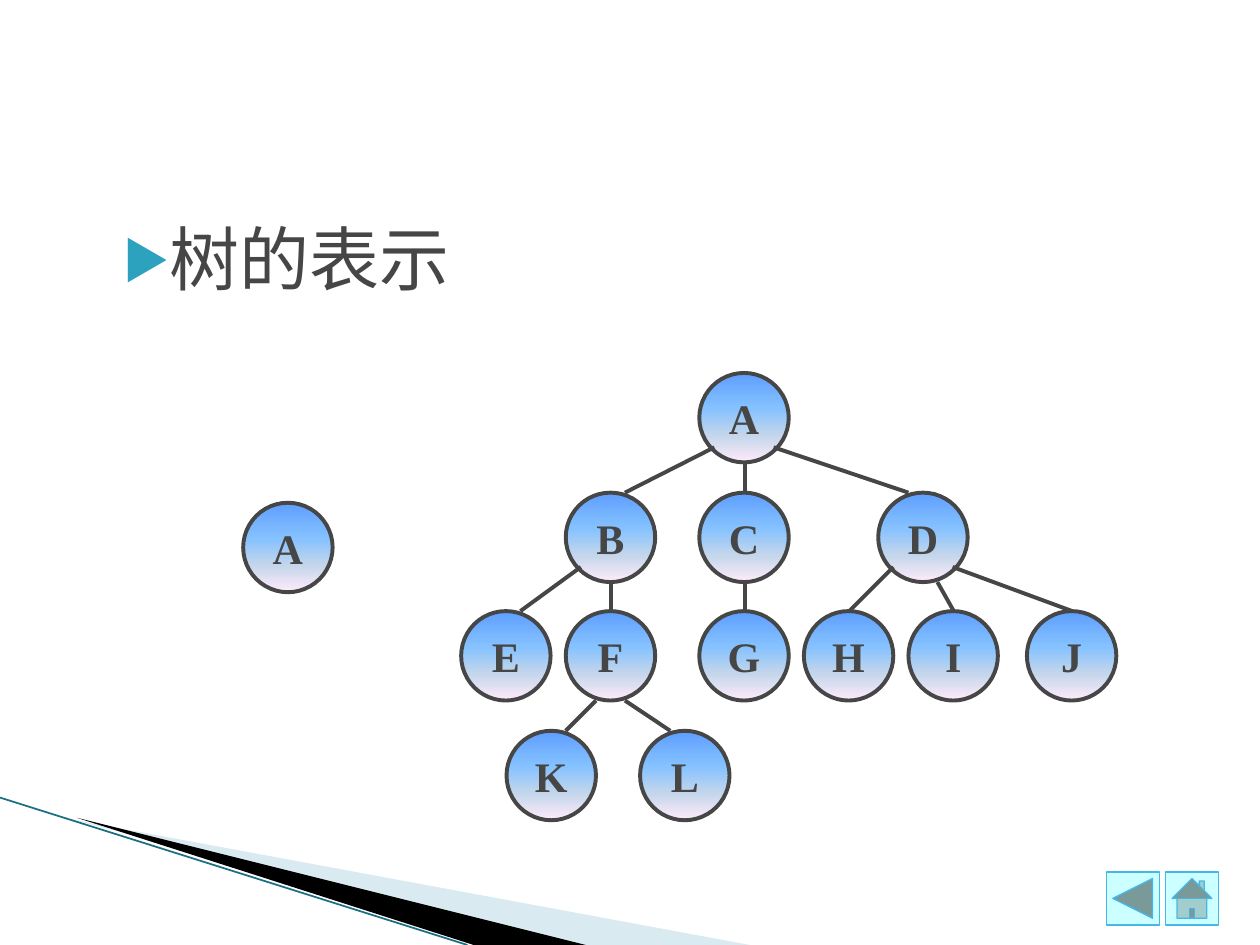
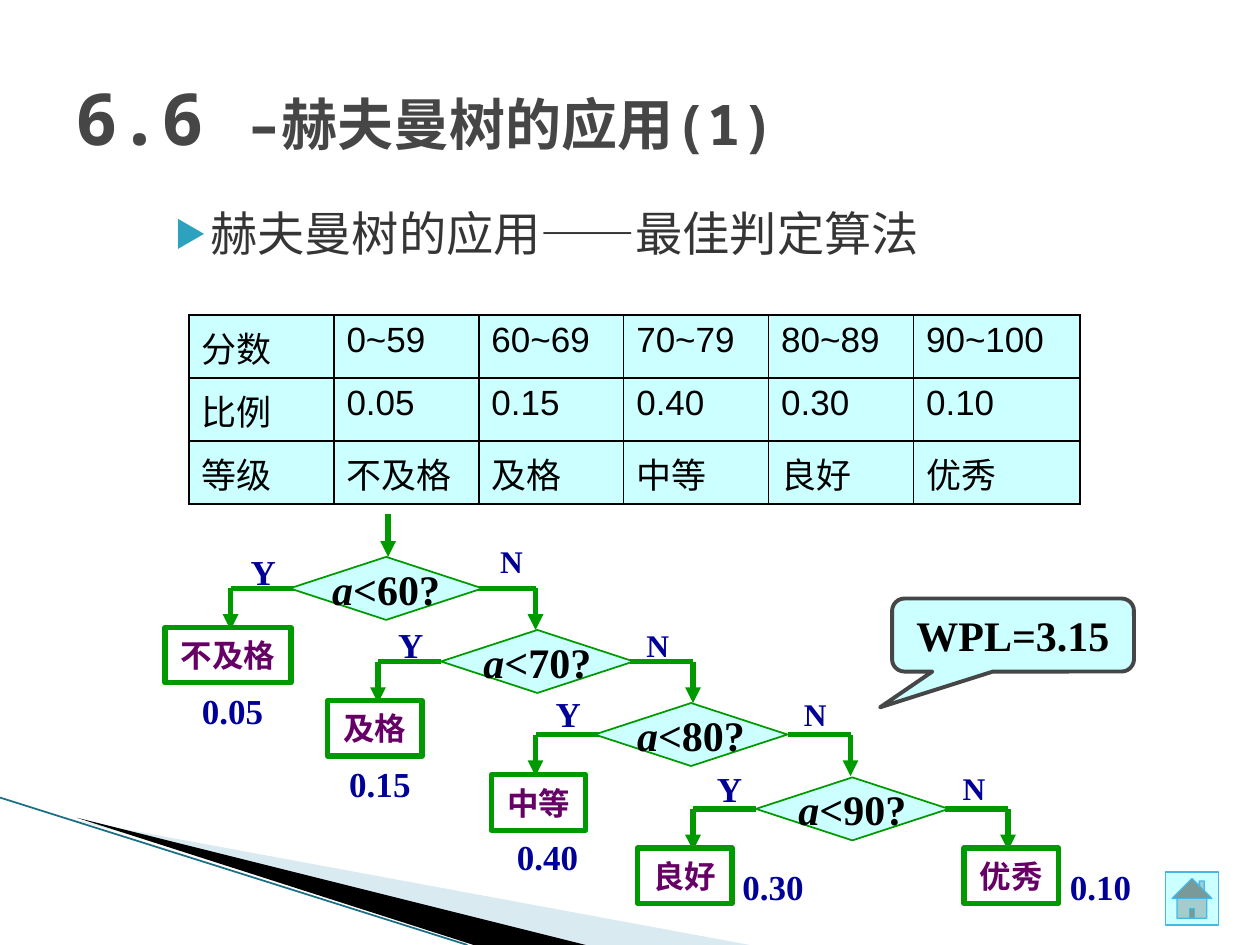
from dataclasses import dataclass
from typing import NamedTuple

from lxml.etree import SubElement
from pptx import Presentation
from pptx.dml.color import RGBColor
from pptx.enum.shapes import MSO_CONNECTOR, MSO_SHAPE
from pptx.enum.text import MSO_ANCHOR, PP_ALIGN
from pptx.oxml.ns import qn
from pptx.util import Emu, Pt

SCALE = 9144
GRAY = "464646"
BLACK = "000000"
AQUA = "CCFFFF"
GREEN = "009900"
NAVY = "000099"
PLUM = "660066"
SERIF = "Times New Roman"
HAN = "Noto Sans CJK SC"
MONO = "Noto Sans Mono"
SHADES = [(0, "5E9EFF"), (40, "85C2FF"), (70, "C4D6EB"), (100, "FFEBFA")]
SIZE = 71


class Box(NamedTuple):
    left: int
    top: int
    width: int
    height: int


class Style(NamedTuple):
    size: int
    color: str
    font: str = SERIF
    bold: bool = True


@dataclass
class Node:
    name: str
    left: int
    row: int

    @property
    def top(self) -> int:
        return round(296 + 94.7 * self.row)


class Edge(NamedTuple):
    start: str
    out: int
    end: str
    into: int


@dataclass
class Test:
    limit: int
    left: int
    top: int
    yes: int
    no: int
    yes_tag: tuple[int, int]
    no_tag: tuple[int, int]


class Leaf(NamedTuple):
    grade: str
    box: Box
    share: str
    tag: tuple[int, int]


NODES = [
    Node("A", 555, 0),
    Node("B", 449, 1), Node("C", 555, 1), Node("D", 697, 1),
    Node("E", 366, 2), Node("F", 449, 2), Node("G", 555, 2),
    Node("H", 638, 2), Node("I", 721, 2), Node("J", 815, 2),
    Node("K", 402, 3), Node("L", 508, 3),
]
EDGES = [
    Edge("A", 1, "B", 4), Edge("A", 3, "C", 3), Edge("A", 5, "D", 2),
    Edge("B", 1, "E", 4), Edge("B", 3, "F", 3), Edge("C", 3, "G", 3),
    Edge("D", 1, "H", 3), Edge("D", 4, "I", 3), Edge("D", 5, "J", 3),
    Edge("F", 2, "K", 4), Edge("F", 4, "L", 2),
]
TESTS = [
    Test(60, 230, 442, 183, 425, (189, 432), (387, 425)),
    Test(70, 350, 500, 300, 550, (306, 490), (503, 492)),
    Test(80, 472, 558, 425, 675, (431, 545), (628, 547)),
    Test(90, 600, 617, 550, 800, (559, 604), (754, 605)),
]
LEAVES = [
    Leaf("不及格", Box(131, 498, 100, 44), "0.05", (150, 542)),
    Leaf("及格", Box(260, 556, 75, 44), "0.15", (267, 600)),
    Leaf("中等", Box(390, 615, 75, 44), "0.40", (400, 658)),
    Leaf("良好", Box(506, 673, 75, 44), "0.30", (579, 682)),
    Leaf("优秀", Box(765, 673, 75, 44), "0.10", (839, 682)),
]
ROWS = [
    ["分数", "0~59", "60~69", "70~79", "80~89", "90~100"],
    ["比例", "0.05", "0.15", "0.40", "0.30", "0.10"],
    ["等级", "不及格", "及格", "中等", "良好", "优秀"],
]


def px(count: int) -> Emu:
    return Emu(count * SCALE)


def place(box: Box) -> list[Emu]:
    return [px(part) for part in box]


def tint(code: str) -> RGBColor:
    return RGBColor.from_string(code)


def paint(shape, fill: str | None, line: str | None, width: float = 1) -> None:
    shape.shadow.inherit = False
    if fill:
        shape.fill.solid()
        shape.fill.fore_color.rgb = tint(fill)
    else:
        shape.fill.background()
    if line:
        shape.line.color.rgb = tint(line)
        shape.line.width = Pt(width)
    else:
        shape.line.fill.background()


def format_run(run, style: Style) -> None:
    font = run.font
    font.size = Pt(style.size)
    font.name = style.font
    font.bold = style.bold
    font.color.rgb = tint(style.color)
    SubElement(run._r.rPr, qn("a:ea"), typeface=HAN)


def write(shape, text: str, style: Style) -> None:
    frame = shape.text_frame
    frame.text = text
    frame.word_wrap = False
    frame.vertical_anchor = MSO_ANCHOR.MIDDLE
    frame.paragraphs[0].alignment = PP_ALIGN.CENTER
    format_run(frame.paragraphs[0].runs[0], style)


def add_form(slide, kind, box: Box, fill: str | None, line: str, width: float):
    shape = slide.shapes.add_shape(kind, *place(box))
    paint(shape, fill, line, width)
    return shape


def add_line(slide, start: tuple[int, int], end: tuple[int, int], color: str,
             width: float, arrow: bool = False) -> None:
    ends = [px(part) for part in (*start, *end)]
    line = slide.shapes.add_connector(MSO_CONNECTOR.STRAIGHT, *ends)
    line.line.color.rgb = tint(color)
    line.line.width = Pt(width)
    if arrow:
        SubElement(line.line._get_or_add_ln(), qn("a:tailEnd"), type="triangle")
    SubElement(line._element.spPr, qn("a:effectLst"))


def add_band(slide, points: list[tuple[int, int]], color: str):
    pen = slide.shapes.build_freeform(*points[0], scale=SCALE)
    pen.add_line_segments(points[1:])
    band = pen.convert_to_shape()
    paint(band, color, None)
    return band


def add_base(slide) -> None:
    pale = add_band(slide, [(55, 650), (595, 750), (456, 750)], "A0CBDC")
    hue = pale._element.spPr.find(qn("a:solidFill"))[0]
    SubElement(hue, qn("a:alpha"), val="40000")
    add_band(slide, [(61, 649), (465, 750), (376, 750)], BLACK)
    add_line(slide, (0, 633), (371, 750), "1B6F85", 1)


def add_key(slide, kind, left: int) -> None:
    add_form(slide, kind, Box(left, 692, 42, 42), AQUA, "44B9E8", 0.75)


def add_point(slide, box: Box, text: str, style: Style, space: float) -> None:
    frame = slide.shapes.add_textbox(*place(box)).text_frame
    frame.word_wrap = True
    frame.margin_top = 0
    frame.text = text
    para = frame.paragraphs[0]
    para.line_spacing = space
    props = para._p.get_or_add_pPr()
    props.set("marL", str(px(40)))
    props.set("indent", str(px(-28)))
    hue = SubElement(props, qn("a:buClr"))
    SubElement(hue, qn("a:srgbClr"), val="2DA2BF")
    SubElement(props, qn("a:buSzPct"), val="68000")
    SubElement(props, qn("a:buFont"), typeface=HAN)
    SubElement(props, qn("a:buChar"), char="▶")
    format_run(para.runs[0], style)


def add_node(slide, name: str, left: int, top: int) -> None:
    ball = add_form(slide, MSO_SHAPE.OVAL, Box(left, top, SIZE, SIZE),
                    None, GRAY, 2.25)
    ball.fill.gradient()
    ball.fill.gradient_angle = 270
    stops = ball._element.spPr.find(qn("a:gradFill")).find(qn("a:gsLst"))
    for stop in list(stops):
        stops.remove(stop)
    for spot, color in SHADES:
        stop = SubElement(stops, qn("a:gs"), pos=str(spot * 1000))
        SubElement(stop, qn("a:srgbClr"), val=color)
    write(ball, name, Style(24, GRAY))


def add_edge(slide, edge: Edge, nodes: dict[str, Node]) -> None:
    start, end = nodes[edge.start], nodes[edge.end]
    drop = 59 if edge.out in (1, 5) else SIZE
    add_line(slide, (start.left + round(SIZE * edge.out / 6), start.top + drop),
             (end.left + round(SIZE * edge.into / 6), end.top), GRAY, 2.25)


def add_tag(slide, text: str, spot: tuple[int, int], width: int, size: int) -> None:
    tag = slide.shapes.add_textbox(*place(Box(*spot, width, 43 if size == 20 else 40)))
    write(tag, text, Style(size, NAVY))


def add_arms(slide, test: Test) -> None:
    mid = test.top + 25
    for bend, reach in ((test.yes, 50), (test.no, -50)):
        add_line(slide, (bend + reach, mid), (bend, mid), GREEN, 3)
        add_line(slide, (bend, mid), (bend, mid + 33), GREEN, 3, True)


def add_test(slide, test: Test) -> None:
    box = Box(test.left, test.top, 153, 50)
    shape = add_form(slide, MSO_SHAPE.FLOWCHART_DECISION, box, AQUA, GREEN, 1)
    style = Style(24, BLACK)
    write(shape, "a", style)
    para = shape.text_frame.paragraphs[0]
    para.runs[0].font.italic = True
    rest = para.add_run()
    rest.text = f"<{test.limit}?"
    format_run(rest, style)
    add_tag(slide, "Y", test.yes_tag, 40, 20)
    add_tag(slide, "N", test.no_tag, 38, 18)


def add_leaf(slide, leaf: Leaf) -> None:
    shape = add_form(slide, MSO_SHAPE.RECTANGLE, leaf.box, None, GREEN, 3)
    write(shape, leaf.grade, Style(18, PLUM))
    add_tag(slide, leaf.share, leaf.tag, 69, 20)


def add_grades(slide) -> None:
    grid = slide.shapes.add_table(3, 6, *place(Box(150, 250, 707, 150))).table
    for index, column in enumerate(grid.columns):
        column.width = px(132 if index == 5 else 115)
    for row, texts in zip(grid.rows, ROWS):
        row.height = px(50)
        for cell, text in zip(row.cells, texts):
            cell.text_frame.text = text
            format_run(cell.text_frame.paragraphs[0].runs[0],
                       Style(20, BLACK, "Arial", False))
            props = cell._tc.get_or_add_tcPr()
            for side in "LRTB":
                rule = SubElement(props, qn(f"a:ln{side}"), w=str(Pt(1)))
                fill = SubElement(rule, qn("a:solidFill"))
                SubElement(fill, qn("a:srgbClr"), val=BLACK)
            cell.fill.solid()
            cell.fill.fore_color.rgb = tint(AQUA)


def set_title(slide, parts: list[tuple[str, int]]) -> None:
    title = slide.shapes.title
    title.left, title.top, title.width, title.height = place(Box(50, 30, 900, 125))
    frame = title.text_frame
    frame.vertical_anchor = MSO_ANCHOR.MIDDLE
    para = frame.paragraphs[0]
    para.alignment = PP_ALIGN.LEFT
    for text, size in parts:
        run = para.add_run()
        run.text = text
        format_run(run, Style(size, GRAY, MONO))


def draw_tree(deck) -> None:
    slide = deck.slides.add_slide(deck.slide_layouts[6])
    add_base(slide)
    add_point(slide, Box(75, 171, 925, 100), "树的表示",
              Style(40, GRAY, HAN, False), 1.0)
    add_key(slide, MSO_SHAPE.ACTION_BUTTON_HOME, 925)
    add_key(slide, MSO_SHAPE.ACTION_BUTTON_BACK_OR_PREVIOUS, 878)
    add_node(slide, "A", 193, 399)
    for node in NODES:
        add_node(slide, node.name, node.left, node.top)
    nodes = {node.name: node for node in NODES}
    for edge in EDGES:
        add_edge(slide, edge, nodes)


def draw_tests(deck) -> None:
    slide = deck.slides.add_slide(deck.slide_layouts[5])
    add_base(slide)
    set_title(slide, [("6.6 ", 41), ("–赫夫曼树的应用(1)", 32)])
    add_point(slide, Box(117, 167, 867, 54), "赫夫曼树的应用——最佳判定算法",
              Style(27, "353535", HAN, False), 0.9)
    add_key(slide, MSO_SHAPE.ACTION_BUTTON_HOME, 925)
    add_grades(slide)
    add_line(slide, (308, 408), (308, 442), GREEN, 3, True)
    for test in TESTS:
        add_arms(slide, test)
    for test in TESTS:
        add_test(slide, test)
    for leaf in LEAVES:
        add_leaf(slide, leaf)
    note = add_form(slide, MSO_SHAPE.ROUNDED_RECTANGULAR_CALLOUT,
                    Box(708, 475, 192, 58), AQUA, GRAY, 2.25)
    for index, value in enumerate((-0.55, 0.99, 0.17)):
        note.adjustments[index] = value
    write(note, "WPL=3.15", Style(24, BLACK))


def main() -> None:
    deck = Presentation()
    deck.slide_width, deck.slide_height = px(1000), px(750)
    draw_tree(deck)
    draw_tests(deck)
    deck.save("out.pptx")


if __name__ == "__main__":
    main()
